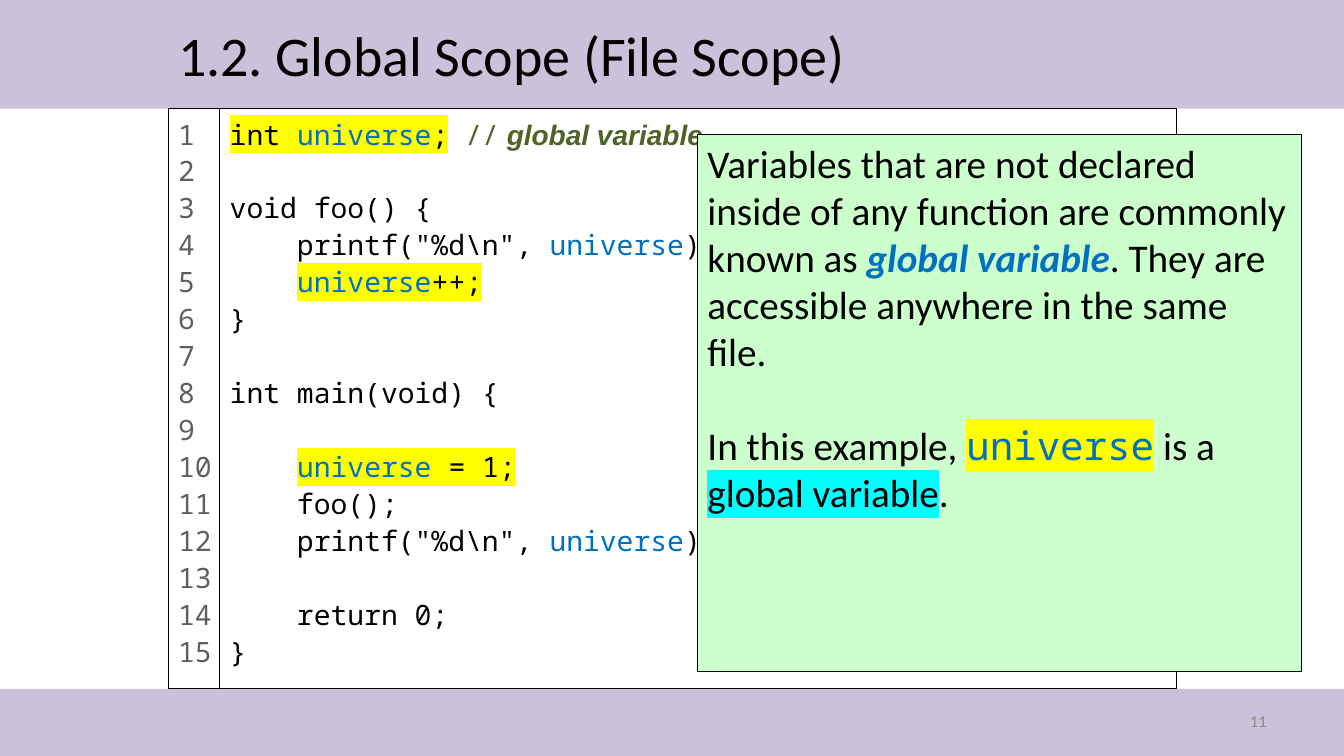
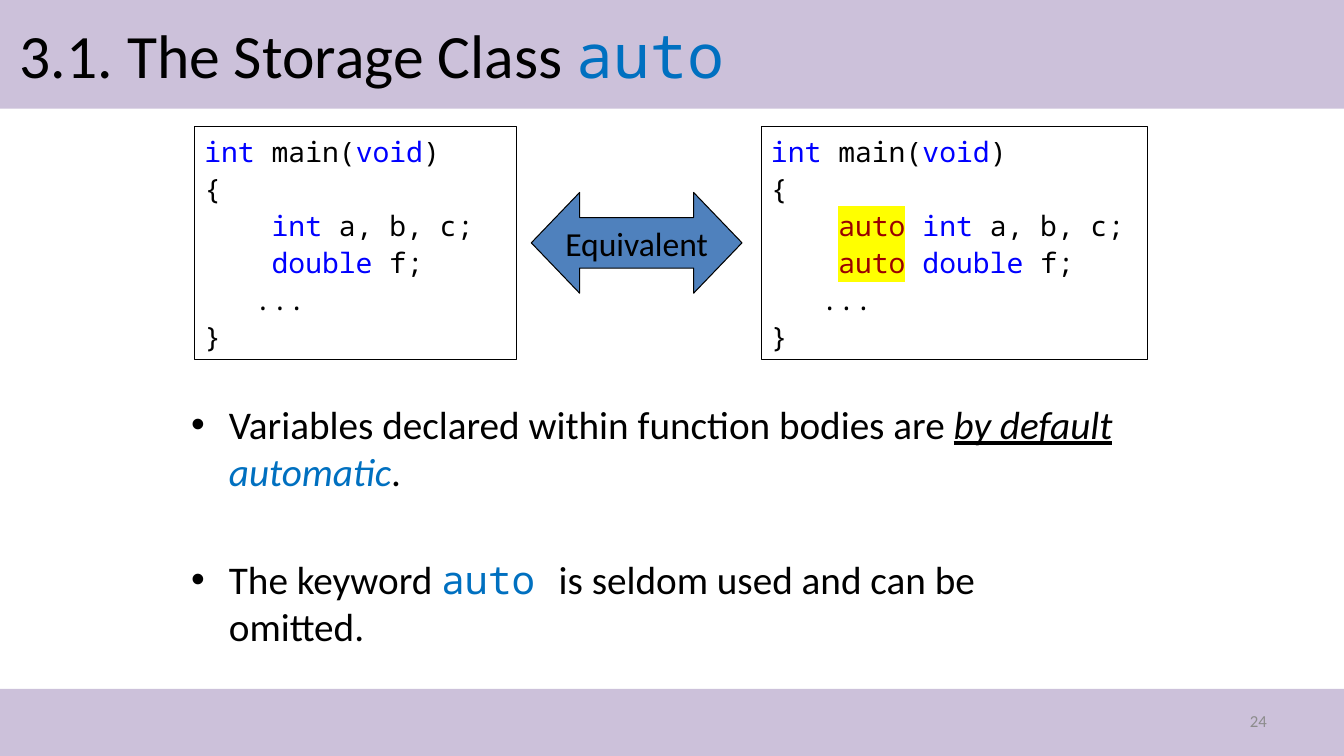
from lxml.etree import SubElement
from pptx import Presentation
from pptx.dml.color import RGBColor as RGB
from pptx.enum.shapes import MSO_SHAPE as Preset
from pptx.enum.text import MSO_ANCHOR as Anchor, PP_ALIGN as Align
from pptx.oxml import parse_xml
from pptx.oxml.ns import nsdecls, qn
from pptx.util import Cm, Pt

BLACK = RGB(0x00, 0x00, 0x00)
WHITE = RGB(0xFF, 0xFF, 0xFF)
LILAC = RGB(0xCC, 0xC1, 0xDA)
MINT = RGB(0xCC, 0xFF, 0xCC)
STEEL = RGB(0x4F, 0x81, 0xBD)
BLUE = RGB(0x00, 0x70, 0xC0)
KEYWORD_BLUE = RGB(0x00, 0x00, 0xFF)
DARK_RED = RGB(0x99, 0x00, 0x00)
OLIVE = RGB(0x4F, 0x62, 0x28)
GREY = RGB(0x5F, 0x5F, 0x5F)
FOOTER_GREY = RGB(0x8C, 0x8C, 0x8C)
YELLOW = RGB(0xFF, 0xFF, 0x00)
CYAN = RGB(0x00, 0xFF, 0xFF)

MONO = "Noto Sans Mono"
CODE = {"name": MONO, "size": Pt(20)}
BODY = {"name": "Calibri", "size": Pt(28)}
LABEL = {"name": "Calibri", "size": Pt(24)}
FOOTER = {"name": "Calibri", "size": Pt(12), "color": FOOTER_GREY}
CODE_PITCH = Pt(26.4)
BODY_PITCH = Pt(33.6)

MARKED = {"highlight": YELLOW}
NAME = {"color": BLUE}
MARKED_NAME = NAME | MARKED
MONO_NAME = NAME | {"name": MONO}
KEYWORD = {"color": KEYWORD_BLUE}
STORAGE = MARKED | {"color": DARK_RED}
COMMENT = {"color": OLIVE}
COMMENT_WORDS = COMMENT | {"name": "Arial", "bold": True, "italic": True}


class Deck:
    """Hold the shared style and the current slide, and draw its elements."""

    def __init__(self):
        self.presentation = Presentation()
        self.presentation.slide_width = Cm(33.87)
        self.presentation.slide_height = Cm(19.05)
        self.slide = None

    def add_slide(self, number):
        layout = self.presentation.slide_layouts[6]
        self.slide = self.presentation.slides.add_slide(layout)
        self.shape((0, 0, 33.87, 2.74), LILAC, line=None)
        self.shape((0, 17.36, 33.87, 1.69), LILAC, line=None)
        frame = self.text_box((24.28, 17.65, 7.9, 1.02), Anchor.MIDDLE)
        self.set_text(frame, [[str(number)]], FOOTER, alignment=Align.RIGHT)

    def shape(self, area, fill=None, line=BLACK, preset=Preset.RECTANGLE):
        shape = self.slide.shapes.add_shape(preset, *map(Cm, area))
        shape.shadow.inherit = False
        if fill is None:
            shape.fill.background()
        else:
            shape.fill.solid()
            shape.fill.fore_color.rgb = fill
        if line is None:
            shape.line.fill.background()
        else:
            shape.line.color.rgb = line
            shape.line.width = Pt(0.75)
        shape.text_frame.word_wrap = True
        shape.text_frame.vertical_anchor = Anchor.TOP
        return shape

    def text_box(self, area, anchor=Anchor.TOP):
        frame = self.slide.shapes.add_textbox(*map(Cm, area)).text_frame
        frame.word_wrap = True
        frame.vertical_anchor = anchor
        return frame

    def style_run(self, run, style):
        values = {"color": BLACK} | style
        highlight = values.pop("highlight", None)
        run.font.color.rgb = values.pop("color")
        for key, value in values.items():
            setattr(run.font, key, value)
        if highlight is not None:
            fill = run._r.get_or_add_rPr().find(qn("a:solidFill"))
            fill.addnext(parse_xml(
                f'<a:highlight {nsdecls("a")}><a:srgbClr val="{highlight}"/></a:highlight>'))

    def set_text(self, frame, paragraphs, style, bullet=False, gap=None, **layout):
        layout = {"alignment": Align.LEFT} | layout
        for index, pieces in enumerate(paragraphs):
            paragraph = frame.add_paragraph() if index else frame.paragraphs[0]
            if bullet:
                self.add_bullet(paragraph)
            for key, value in layout.items():
                setattr(paragraph, key, value)
            if index and gap:
                paragraph.space_before = gap
            for piece in pieces:
                text, change = (piece, {}) if isinstance(piece, str) else piece
                run = paragraph.add_run()
                run.text = text
                self.style_run(run, style | change)

    def add_bullet(self, paragraph):
        properties = paragraph._p.get_or_add_pPr()
        properties.set("marL", str(Cm(0.95)))
        properties.set("indent", str(-Cm(0.95)))
        SubElement(properties, qn("a:buFont")).set("typeface", "Arial")
        SubElement(properties, qn("a:buChar")).set("char", "•")

    def title(self, area, pieces, size):
        frame = self.text_box(area, Anchor.MIDDLE)
        self.set_text(frame, [pieces], {"name": "Calibri", "size": Pt(size)})

    def code(self, area, lines, fill=None):
        frame = self.shape(area, fill).text_frame
        self.set_text(frame, [line for line in lines if line], CODE,
                      line_spacing=CODE_PITCH)
        filled = iter(frame.paragraphs)
        blanks = 0
        for line in lines:
            if not line:
                blanks += 1
                continue
            paragraph = next(filled)
            if blanks:
                paragraph.space_before = blanks * CODE_PITCH
            blanks = 0

    def line_numbers(self, area, count):
        frame = self.shape(area, WHITE).text_frame
        frame.margin_right = 0
        self.set_text(frame, [[str(number)] for number in range(1, count + 1)],
                      CODE | {"color": GREY}, line_spacing=CODE_PITCH)

    def note(self, area, paragraphs):
        frame = self.shape(area, MINT).text_frame
        self.set_text(frame, paragraphs, BODY, gap=BODY_PITCH, line_spacing=BODY_PITCH)

    def bullets(self, area, paragraphs):
        self.set_text(self.text_box(area), paragraphs, BODY, bullet=True,
                      gap=Pt(43.5), line_spacing=BODY_PITCH)

    def double_arrow(self, area, label):
        shape = self.shape(area, STEEL, preset=Preset.LEFT_RIGHT_ARROW)
        shape.adjustments[0] = 0.5
        shape.adjustments[1] = 0.48
        shape.text_frame.word_wrap = False
        shape.text_frame.vertical_anchor = Anchor.MIDDLE
        self.set_text(shape.text_frame, [[label]], LABEL, alignment=Align.CENTER)


def global_scope(deck):
    print_line = ['    printf("%d\\n", ', ("universe", NAME), ");"]
    lines = [
        [("int ", MARKED), ("universe", MARKED_NAME), (";", MARKED), " ",
         ("//", COMMENT), (" global variable", COMMENT_WORDS)],
        [],
        ["void foo() {"],
        print_line,
        ["    ", ("universe", MARKED_NAME), ("++;", MARKED)],
        ["}"],
        [],
        ["int main(void) {"],
        [],
        ["    ", ("universe", MARKED_NAME), (" = 1;", MARKED)],
        ["    foo();"],
        print_line,
        [],
        ["    return 0;"],
        ["}"],
    ]
    deck.add_slide(11)
    deck.code((5.54, 2.74, 24.1, 14.61), lines)
    deck.line_numbers((4.24, 2.74, 1.3, 14.61), len(lines))
    deck.title((4.24, 0, 25.37, 2.74), ["1.2. Global Scope (File Scope)"], 40)
    deck.note((17.58, 3.38, 15.21, 13.54), [
        ["Variables that are not declared inside of any function are commonly known as ",
         ("global variable", NAME | {"bold": True, "italic": True}),
         ". They are accessible anywhere in the same file."],
        ["In this example, ", ("universe", MONO_NAME | MARKED), " is a ",
         ("global variable", {"highlight": CYAN}), "."],
    ])


def storage_class_auto(deck):
    deck.add_slide(24)
    deck.title((0.25, 0.2, 30.48, 2.34),
               ["3.1. The Storage Class ", ("auto", MONO_NAME)], 44)
    deck.bullets((4.57, 9.96, 23.77, 6.78), [
        ["Variables declared within function bodies are ",
         ("by default", {"italic": True, "underline": True}), " ",
         ("automatic", NAME | {"italic": True}), "."],
        ["The keyword ", ("auto ", MONO_NAME), "is seldom used and can be omitted."],
    ])
    for left, width, prefix in ((4.9, 8.13, []),
                                (19.18, 9.73, [("auto", STORAGE), " "])):
        deck.code((left, 3.18, width, 5.89), [
            [("int", KEYWORD), " main(", ("void", KEYWORD), ")"],
            ["{"],
            ["    ", *prefix, ("int", KEYWORD), " a, b, c;"],
            ["    ", *prefix, ("double", KEYWORD), " f;"],
            ["   ..."],
            ["}"],
        ], WHITE)
    deck.double_arrow((13.39, 4.85, 5.31, 2.54), "Equivalent")


def main():
    deck = Deck()
    global_scope(deck)
    storage_class_auto(deck)
    deck.presentation.save("out.pptx")


if __name__ == "__main__":
    main()
